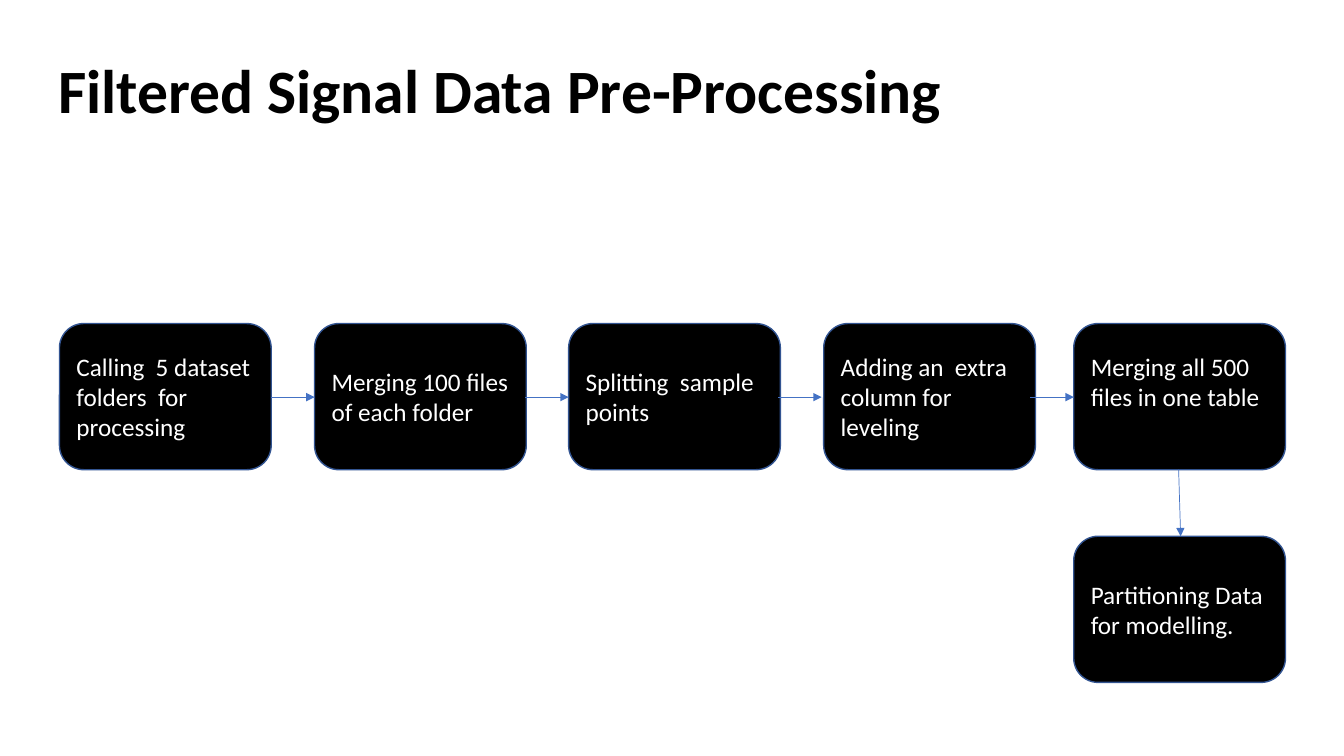
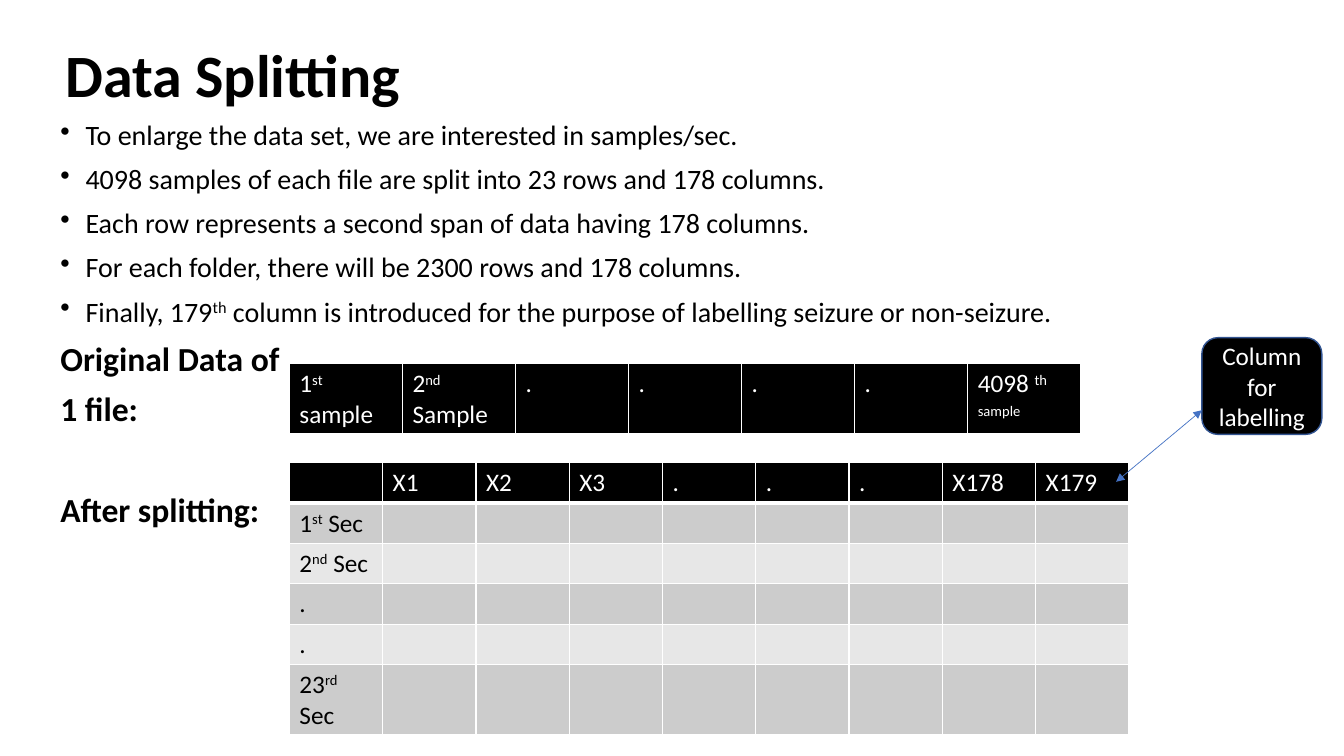
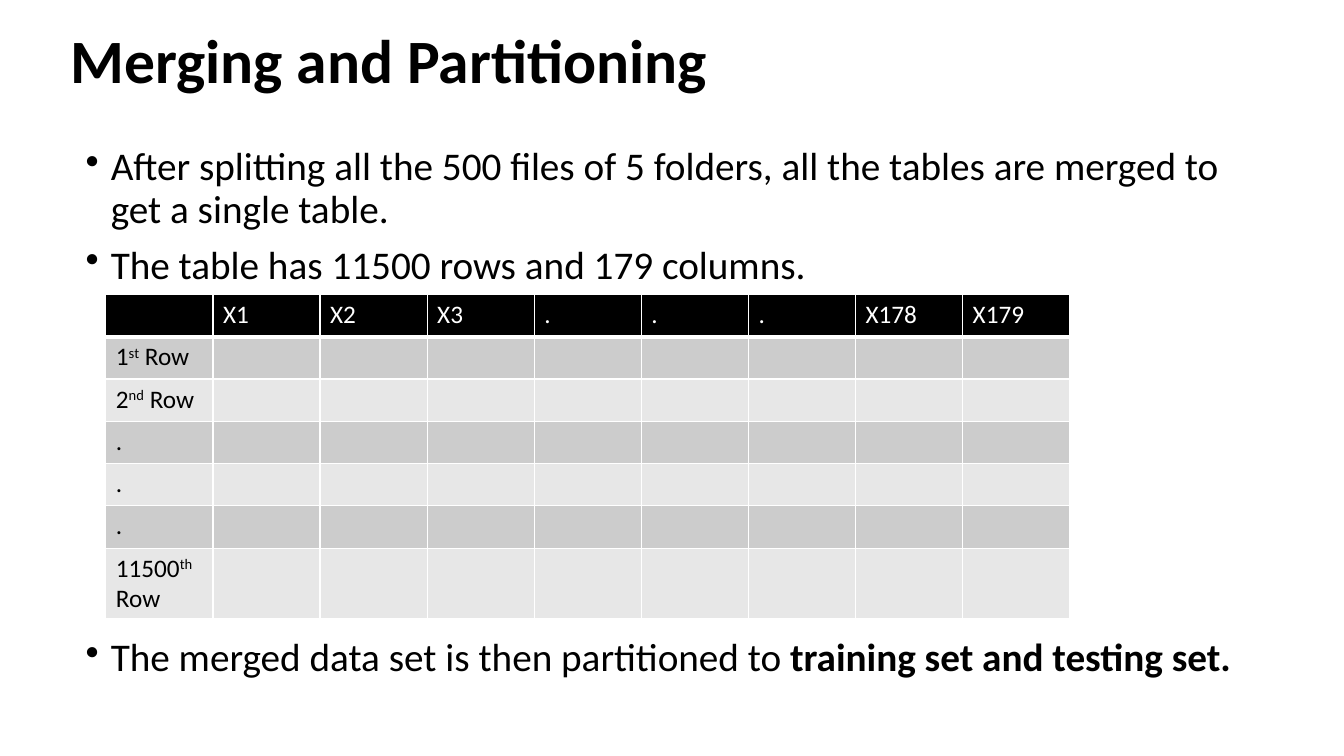
from lxml.etree import SubElement
from pptx import Presentation
from pptx.dml.color import RGBColor
from pptx.enum.shapes import MSO_CONNECTOR, MSO_SHAPE
from pptx.enum.text import MSO_ANCHOR, PP_ALIGN
from pptx.oxml.ns import qn
from pptx.util import Emu, Pt

PX = 9144
FONT = "Calibri"
BLACK = RGBColor(0x00, 0x00, 0x00)
WHITE = RGBColor(0xFF, 0xFF, 0xFF)
OUTLINE = RGBColor(0x32, 0x54, 0x91)
ARROW = RGBColor(0x44, 0x72, 0xC4)
BANDS = (RGBColor(0xCC, 0xCC, 0xCC), RGBColor(0xE7, 0xE7, 0xE7))
COLUMN_NAMES = ("", "X1", "X2", "X3", ".", ".", ".", "X178", "X179")


def px(*lengths):
    return [Emu(length * PX) for length in lengths]


class Deck:
    """Holds the shared style and the slide being filled; *bold* and ^raised^ mark text."""

    def __init__(self):
        self.presentation = Presentation()
        self.presentation.slide_width, self.presentation.slide_height = px(1333, 750)
        self.slide = None

    def add_slide(self):
        layout = self.presentation.slide_layouts[6]
        self.slide = self.presentation.slides.add_slide(layout)

    def add_runs(self, paragraph, text, size, color=BLACK):
        for bold_index, bold_part in enumerate(text.split("*")):
            for raised_index, part in enumerate(bold_part.split("^")):
                if not part:
                    continue
                run = paragraph.add_run()
                run.text = part
                run.font.name = FONT
                run.font.size = Pt(size)
                run.font.color.rgb = color
                run.font.bold = bold_index % 2 == 1
                if raised_index % 2:
                    run._r.get_or_add_rPr().set("baseline", "30000")

    def text_frame(self, left, top, width, height):
        frame = self.slide.shapes.add_textbox(*px(left, top, width, height)).text_frame
        frame.word_wrap = True
        return frame

    def title(self, text, left, top, width, height, size=44, anchor=MSO_ANCHOR.TOP):
        frame = self.text_frame(left, top, width, height)
        frame.vertical_anchor = anchor
        frame.paragraphs[0].line_spacing = 0.9
        self.add_runs(frame.paragraphs[0], f"*{text}*", size)

    def body_line(self, frame, text, size, bullet=True, before=10):
        first = frame.paragraphs[0]
        paragraph = frame.add_paragraph() if first.runs else first
        paragraph.line_spacing = 0.9
        paragraph.space_before = Pt(before)
        if bullet:
            properties = paragraph._p.get_or_add_pPr()
            properties.set("marL", str(25 * PX))
            properties.set("indent", str(-25 * PX))
            SubElement(properties, qn("a:buChar")).set("char", "•")
        self.add_runs(paragraph, text, size)

    def box(self, text, left, top, width, height, alignment=PP_ALIGN.LEFT, lift=0):
        shape = self.slide.shapes.add_shape(
            MSO_SHAPE.ROUNDED_RECTANGLE, *px(left, top, width, height))
        shape.shadow.inherit = False
        shape.fill.solid()
        shape.fill.fore_color.rgb = BLACK
        shape.line.color.rgb = OUTLINE
        shape.line.width = Pt(1)
        frame = shape.text_frame
        frame.word_wrap = True
        frame.vertical_anchor = MSO_ANCHOR.MIDDLE
        frame.margin_bottom = Emu((5 + lift) * PX)
        frame.paragraphs[0].alignment = alignment
        self.add_runs(frame.paragraphs[0], text, 18, WHITE)

    def arrow(self, *ends, marks=("tailEnd",)):
        connector = self.slide.shapes.add_connector(MSO_CONNECTOR.STRAIGHT, *px(*ends))
        connector.line.color.rgb = ARROW
        connector.line.width = Pt(0.5)
        for mark in marks:
            SubElement(connector.line._get_or_add_ln(), qn(f"a:{mark}")).set("type", "triangle")
        SubElement(connector._element.spPr, qn("a:effectLst"))

    def border(self, cell, side, points):
        line = SubElement(cell._tc.get_or_add_tcPr(), qn(f"a:ln{side}"), w=str(Pt(points)))
        fill = SubElement(line, qn("a:solidFill"))
        SubElement(fill, qn("a:srgbClr")).set("val", str(WHITE))

    def table(self, rows, left, top, width, heights):
        count = len(rows[0])
        table = self.slide.shapes.add_table(
            len(rows), count, *px(left, top, width, sum(heights))).table
        table.first_row = table.horz_banding = False
        for column in table.columns:
            column.width = Emu(width * PX // count)
        for row_index, (texts, height) in enumerate(zip(rows, heights)):
            header = row_index == 0
            table.rows[row_index].height = Emu(height * PX)
            for column_index, text in enumerate(texts):
                cell = table.cell(row_index, column_index)
                for side in "LRTB":
                    self.border(cell, side, 3 if header and side == "B" else 1)
                cell.fill.solid()
                cell.fill.fore_color.rgb = BLACK if header else BANDS[(row_index - 1) % 2]
                self.add_runs(cell.text_frame.paragraphs[0], text, 18,
                              WHITE if header else BLACK)

    def sample_table(self, row_names, left, top, width, heights):
        blanks = [""] * (len(COLUMN_NAMES) - 1)
        rows = [COLUMN_NAMES] + [[name] + blanks for name in row_names]
        self.table(rows, left, top, width, heights)


def add_preprocessing(deck):
    deck.add_slide()
    deck.title("Filtered Signal Data Pre-Processing", 48, 38, 1198, 110,
               anchor=MSO_ANCHOR.MIDDLE)
    steps = (
        ("Calling  5 dataset folders  for processing", 59, 321, 0),
        ("Merging 100 files of each folder", 312, 321, 0),
        ("Splitting  sample points", 564, 321, 0),
        ("Adding an  extra column for leveling", 817, 321, 0),
        ("Merging all 500 files in one table", 1065, 321, 30),
        ("Partitioning Data for modelling.", 1065, 532, 0),
    )
    for text, left, top, lift in steps:
        deck.box(text, left, top, 210, 145, lift=lift)
    for end in (312, 564, 815, 1065):
        deck.arrow(end - 43, 394, end, 394)
    deck.arrow(1169, 466, 1171, 532)


def add_splitting(deck):
    deck.add_slide()
    deck.title("Data Splitting", 55, 40, 1186, 75, size=42.9)
    body = deck.text_frame(50, 115, 1276, 635)
    for text in (
        "To enlarge the data set, we are interested in samples/sec.",
        "4098 samples of each file are split into 23 rows and 178 columns.",
        "Each row represents a second span of data having 178 columns.",
        "For each folder, there will be 2300 rows and 178 columns.",
        "Finally, 179^th^ column is introduced for the purpose of labelling "
        "seizure or non-seizure.",
    ):
        deck.body_line(body, text, 20)
    for text, before in (("Original Data of", 10), ("1 file:", 10), ("After splitting:", 46)):
        deck.body_line(body, f"*{text}*", 24, bullet=False, before=before)
    samples = ("1^st^ sample", "2^nd^ Sample", ".", ".", ".", ".", "4098 ^th sample^")
    deck.table([samples], 287, 361, 785, [58])
    deck.sample_table(("1^st^ Sec", "2^nd^ Sec", ".", ".", "23^rd^ Sec"),
                      287, 459, 833, [36] * 5 + [61])
    deck.box("Column for labelling", 1192, 335, 119, 96, alignment=PP_ALIGN.CENTER)
    deck.arrow(1107, 478, 1192, 407, marks=("headEnd", "tailEnd"))


def add_merging(deck):
    deck.add_slide()
    deck.title("Merging and Partitioning", 60, 25, 1157, 80)
    body = deck.text_frame(75, 141, 1192, 569)
    for text, before in (
        ("After splitting all the 500 files of 5 folders, all the tables are merged "
         "to get a single table.", 10),
        ("The table has 11500 rows and 179 columns.", 10),
        ("The merged data set is then partitioned to *training set and testing set.*", 250),
    ):
        deck.body_line(body, text, 28, before=before)
    deck.sample_table(("1^st^ Row", "2^nd^ Row", ".", ".", ".", "11500^th^ Row"),
                      105, 292, 956, [42] * 7)


def main():
    deck = Deck()
    add_preprocessing(deck)
    add_splitting(deck)
    add_merging(deck)
    deck.presentation.save("out.pptx")


if __name__ == "__main__":
    main()
